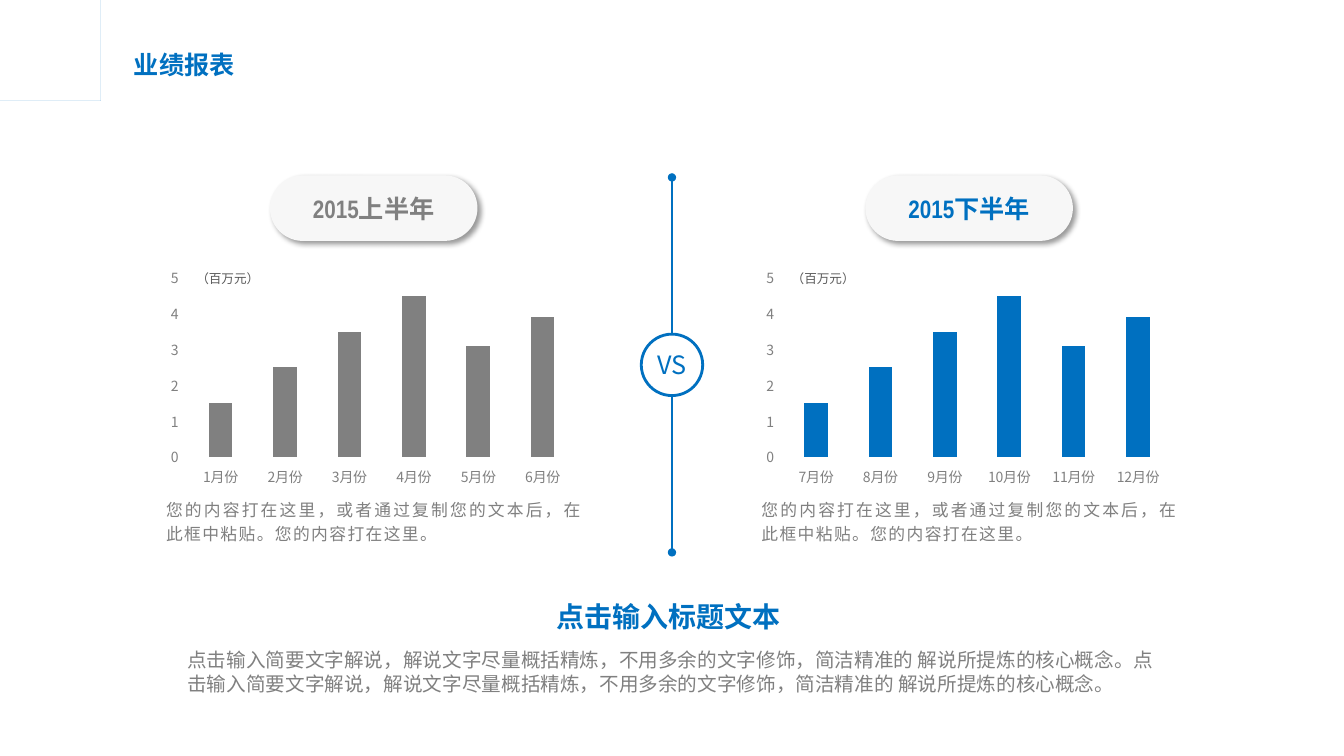
from math import cos, pi, sin

from lxml import etree
from pptx import Presentation
from pptx.chart.data import CategoryChartData
from pptx.dml.color import RGBColor
from pptx.enum.chart import XL_CHART_TYPE, XL_TICK_MARK
from pptx.enum.shapes import MSO_CONNECTOR, MSO_SHAPE
from pptx.enum.text import MSO_ANCHOR, MSO_AUTO_SIZE, PP_ALIGN
from pptx.oxml import parse_xml
from pptx.oxml.ns import nsdecls, qn
from pptx.util import Inches, Pt

COLUMNS = XL_CHART_TYPE.COLUMN_CLUSTERED
LEFT, CENTER, JUSTIFY = PP_ALIGN.LEFT, PP_ALIGN.CENTER, PP_ALIGN.JUSTIFY
BLUE, GRAY, DARK_GRAY, PALE = "0070C0", "808080", "595959", "F7F7F7"
SANS, NARROW = "Noto Sans CJK SC", "Arial Narrow"

TITLE = "业绩报表"
UNIT = "（百万元）"
HALF_NOTE = "您的内容打在这里，或者通过复制您的文本后，在此框中粘贴。您的内容打在这里。"
SUMMARY_TITLE = "点击输入标题文本"
SUMMARY = ("点击输入简要文字解说，解说文字尽量概括精炼，不用多余的文字修饰，"
           "简洁精准的 解说所提炼的核心概念。") * 2
SALES = [1.5, 2.5, 3.5, 4.5, 3.1, 3.9]
# heading, first month, colour, left edge
HALVES = [("2015上半年", 1, GRAY, 1.55), ("2015下半年", 7, BLUE, 7.46)]

# Team icon: heads as (x, y, radius), bodies as outlines; the sides mirror.
ICON_MIDDLE = 0.725
SIDE_HEADS = [(0.5, 0.555, 0.035), (0.6, 0.53, 0.04)]
SIDE_BODIES = [
    [(0.45, 0.61), (0.47, 0.59), (0.51, 0.59), (0.51, 0.69), (0.52, 0.69),
     (0.52, 0.77), (0.5, 0.77), (0.5, 0.71), (0.49, 0.71), (0.49, 0.77),
     (0.47, 0.77), (0.47, 0.68), (0.45, 0.68)],
    [(0.54, 0.6), (0.56, 0.58), (0.62, 0.58), (0.62, 0.7), (0.63, 0.7),
     (0.63, 0.8), (0.6, 0.8), (0.6, 0.72), (0.59, 0.72), (0.59, 0.8),
     (0.56, 0.8), (0.56, 0.68), (0.54, 0.68)],
]
LEADER_HEAD = (ICON_MIDDLE, 0.5, 0.05)
LEADER_HALF = [(0.72, 0.72), (0.72, 0.83), (0.68, 0.83), (0.68, 0.68),
               (0.65, 0.68), (0.65, 0.58), (0.68, 0.55)]


def rgb(color):
    return RGBColor.from_string(color)


def write(shape, text, size, color, font=SANS, bold=False, align=LEFT,
          wrap=True, inset=None, anchor=MSO_ANCHOR.TOP):
    frame = shape.text_frame
    frame.word_wrap = wrap
    frame.auto_size = MSO_AUTO_SIZE.NONE
    frame.vertical_anchor = anchor
    if inset is not None:
        frame.margin_left = frame.margin_right = Inches(inset)
        frame.margin_top = frame.margin_bottom = Inches(inset)
    para = frame.paragraphs[0]
    para.alignment = align
    span = para.add_run()
    span.text = text
    span.font.size, span.font.bold, span.font.name = Pt(size), bold, font
    span.font.color.rgb = rgb(color)
    east_asian = etree.SubElement(span.font._element, qn("a:ea"))
    east_asian.set("typeface", SANS)
    return para


def add_text(page, place, text, size, color, **style):
    box = page.shapes.add_textbox(*map(Inches, place))
    return write(box, text, size, color, **style)


def mirror(points):
    return [(2 * ICON_MIDDLE - x, y) for x, y in points]


def circle(x, y, radius, steps=24):
    angles = [2 * pi * step / steps for step in range(steps)]
    return [(x + radius * cos(a), y + radius * sin(a)) for a in angles]


def add_team_icon(page):
    sides = [circle(*head) for head in SIDE_HEADS] + SIDE_BODIES
    outlines = sides + [mirror(side) for side in sides]
    outlines += [circle(*LEADER_HEAD), LEADER_HALF + mirror(LEADER_HALF)[::-1]]
    builder = page.shapes.build_freeform(*outlines[0][0], scale=Inches(1))
    for number, points in enumerate(outlines):
        if number:
            builder.move_to(*points[0])
        builder.add_line_segments(points[1:], close=True)
    icon = builder.convert_to_shape()
    icon.shadow.inherit = False
    icon.fill.solid()
    icon.fill.fore_color.rgb = rgb(BLUE)
    icon.line.fill.background()


def add_divider(page):
    center, middle, radius, reach = 6.67, 3.62, 0.305, 1.86
    ring = page.shapes.add_shape(
        MSO_SHAPE.OVAL, Inches(center - radius), Inches(middle - radius),
        Inches(2 * radius), Inches(2 * radius))
    ring.shadow.inherit = False
    ring.fill.background()
    ring.line.color.rgb, ring.line.width = rgb(BLUE), Pt(2)
    write(ring, "VS", 18, BLUE, align=CENTER, wrap=False, inset=0,
          anchor=MSO_ANCHOR.MIDDLE)
    for side in (-1, 1):
        line = page.shapes.add_connector(
            MSO_CONNECTOR.STRAIGHT, Inches(center), Inches(middle + side * radius),
            Inches(center), Inches(middle + side * reach))
        line.line.color.rgb, line.line.width = rgb(BLUE), Pt(1)
        etree.SubElement(line.line._get_or_add_ln(), qn("a:tailEnd")).set("type", "oval")
        etree.SubElement(line._element.spPr, qn("a:effectLst"))


def add_sales_chart(page, left, first_month, color):
    data = CategoryChartData()
    data.categories = [f"{first_month + step}月份" for step in range(len(SALES))]
    data.add_series("Series 1", SALES)
    chart = page.shapes.add_chart(COLUMNS, Inches(left), Inches(2.6),
                                  Inches(4.17), Inches(2.25), data).chart
    chart.has_legend = chart.has_title = False
    chart.font.size, chart.font.name = Pt(10), SANS
    chart.font.color.rgb = rgb(GRAY)
    for axis in (chart.category_axis, chart.value_axis):
        axis.has_major_gridlines = False
        axis.major_tick_mark = XL_TICK_MARK.OUTSIDE
        axis.format.line.fill.background()
    values = chart.value_axis
    values.minimum_scale, values.maximum_scale, values.major_unit = 0, 5, 1
    values.tick_labels.number_format = "General"
    values.tick_labels.number_format_is_linked = False
    plot = chart.plots[0]
    plot.gap_width, plot.overlap, plot.vary_by_categories = 175, -27, False
    plot.series[0].format.fill.solid()
    plot.series[0].format.fill.fore_color.rgb = rgb(color)
    area = plot._element.getparent()
    for layout in area.findall(qn("c:layout")):
        area.remove(layout)
    area.insert(0, parse_xml(
        f'<c:layout {nsdecls("c")}><c:manualLayout><c:layoutTarget val="inner"/>'
        '<c:xMode val="edge"/><c:yMode val="edge"/><c:x val="0.06"/>'
        '<c:y val="0.07"/><c:w val="0.92"/><c:h val="0.79"/>'
        '</c:manualLayout></c:layout>'))


def add_pill(page, left, heading, color):
    pill = page.shapes.add_shape(MSO_SHAPE.ROUNDED_RECTANGLE, Inches(left),
                                 Inches(1.74), Inches(2.06), Inches(0.65))
    pill.adjustments[0] = 0.5
    pill.fill.solid()
    pill.fill.fore_color.rgb = rgb(PALE)
    pill.line.fill.background()
    pill._element.spPr.append(parse_xml(
        f'<a:effectLst {nsdecls("a")}><a:outerShdw blurRad="{Pt(4)}" '
        f'dist="{Pt(3)}" dir="2700000" algn="tl" rotWithShape="0">'
        '<a:srgbClr val="000000"><a:alpha val="40000"/></a:srgbClr>'
        '</a:outerShdw></a:effectLst>'))
    write(pill, heading, 18, color, font=NARROW, bold=True, align=CENTER,
          anchor=MSO_ANCHOR.MIDDLE)


def add_half(page, heading, first_month, color, left):
    add_sales_chart(page, left + 0.07, first_month, color)
    add_text(page, (left + 0.3, 2.64, 0.97, 0.25), UNIT, 9, DARK_GRAY)
    add_pill(page, left + 1.13, heading, color)
    note = add_text(page, (left, 4.87, 4.33, 0.57), HALF_NOTE, 12, GRAY, align=JUSTIFY)
    note.line_spacing = 1.2
    note.runs[0].font._element.set("spc", "100")


def main():
    deck = Presentation()
    deck.slide_width, deck.slide_height = Inches(13.34), Inches(7.5)
    page = deck.slides.add_slide(deck.slide_layouts.get_by_name("Title Only"))
    title = page.shapes.title
    title.left, title.top, title.width, title.height = map(
        Inches, (1.23, 0.44, 1.21, 0.4))
    write(title, TITLE, 18, BLUE, bold=True, wrap=False)
    add_team_icon(page)
    add_divider(page)
    for half in HALVES:
        add_half(page, *half)
    add_text(page, (1.86, 6.43, 9.72, 0.47), SUMMARY, 14, GRAY, font=NARROW, inset=0)
    add_text(page, (5.52, 5.95, 2.25, 0.34), SUMMARY_TITLE, 20, BLUE,
             font=NARROW, bold=True, inset=0)
    deck.save("out.pptx")


if __name__ == "__main__":
    main()
